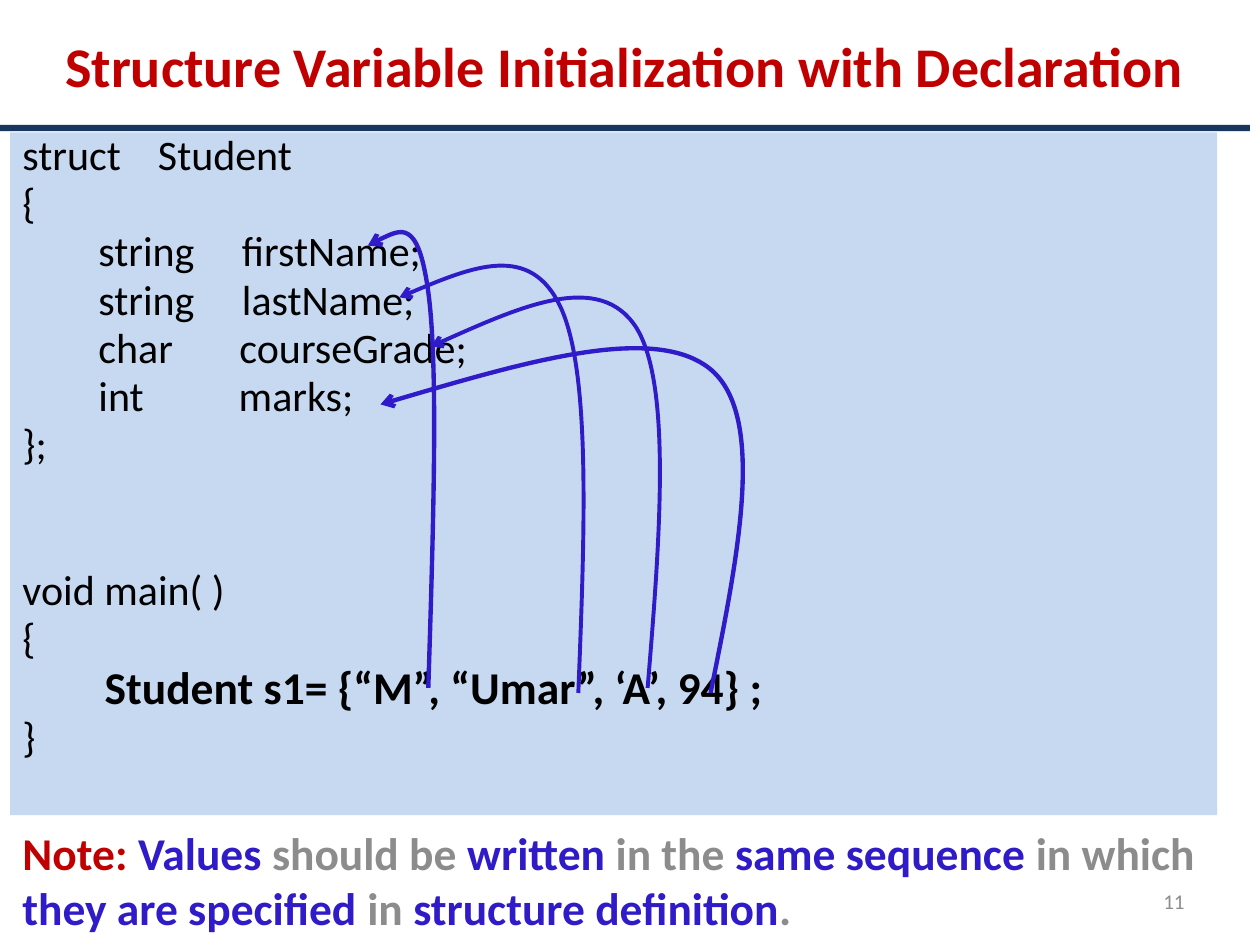
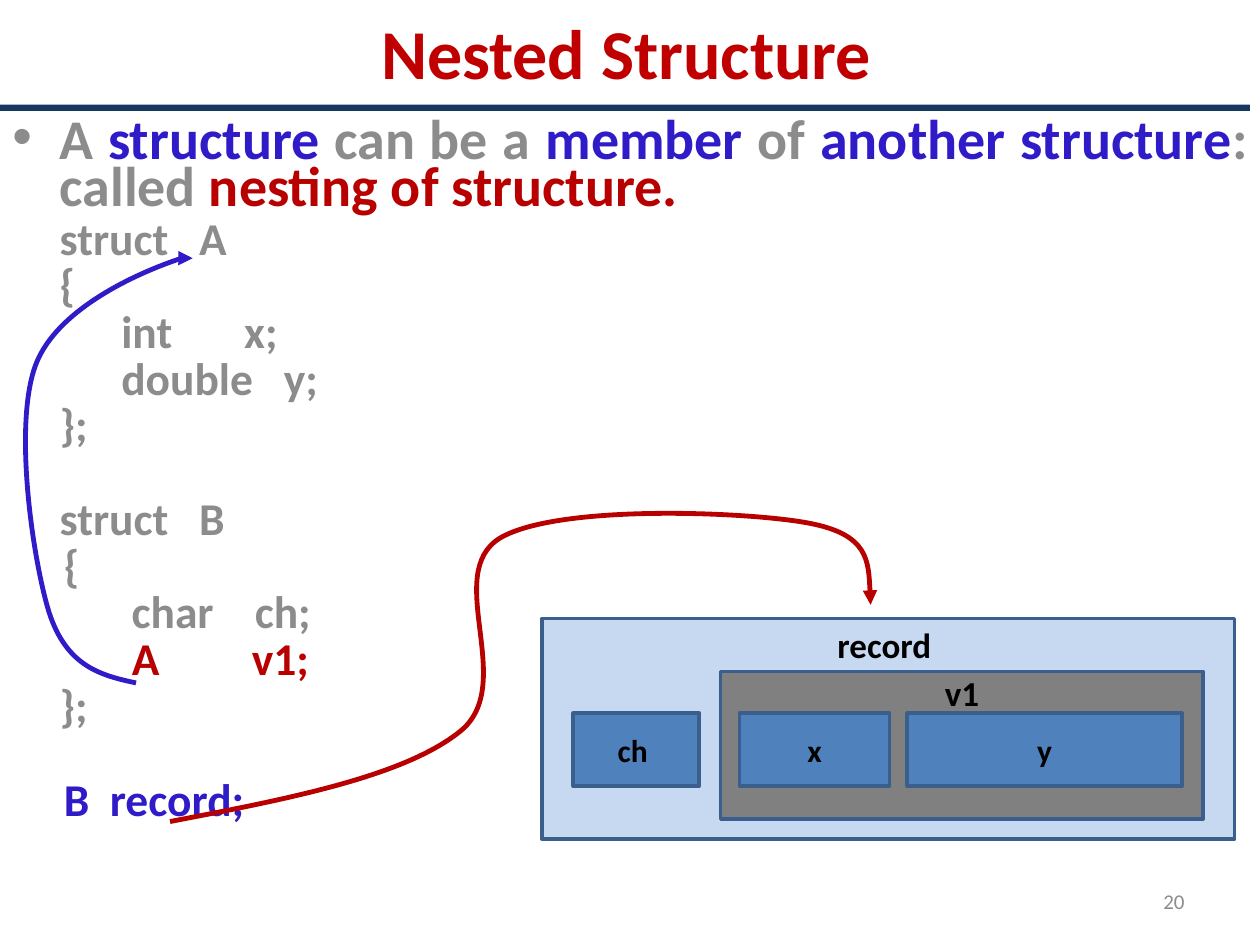
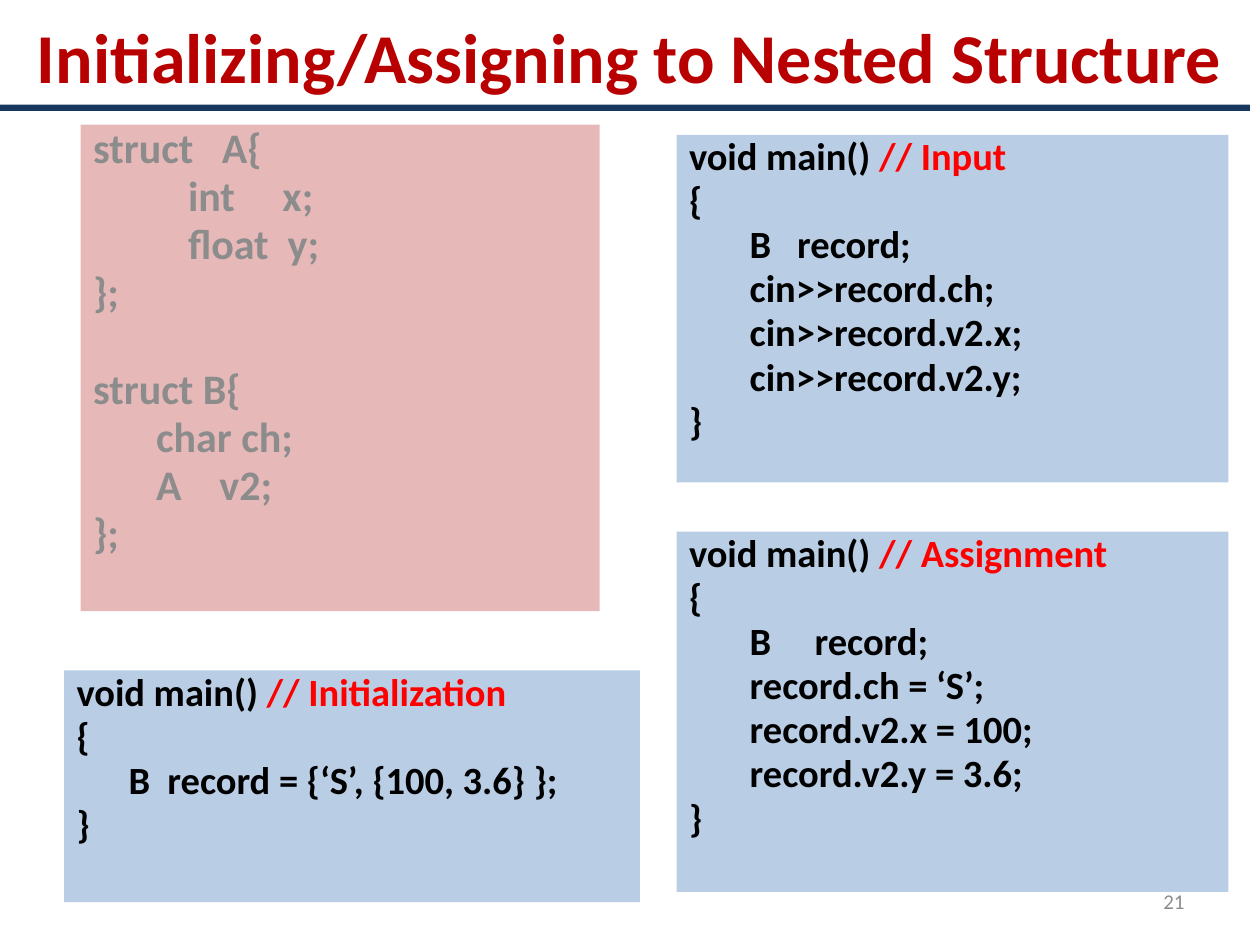
"""Build three slides on initializing and nesting structures."""
from lxml import etree
from pptx import Presentation
from pptx.dml.color import RGBColor
from pptx.enum.shapes import MSO_SHAPE
from pptx.enum.text import MSO_ANCHOR, PP_ALIGN
from pptx.oxml.ns import qn
from pptx.util import Inches, Pt

RECT = MSO_SHAPE.RECTANGLE
TOP, MIDDLE = MSO_ANCHOR.TOP, MSO_ANCHOR.MIDDLE
LEFT, CENTER = PP_ALIGN.LEFT, PP_ALIGN.CENTER
RIGHT, JUSTIFY = PP_ALIGN.RIGHT, PP_ALIGN.JUSTIFY

FONT = "Calibri"
BLACK, GRAY, NAVY = "000000", "8C8C8C", "17375E"
TITLE_RED, RED, COMMENT_RED = "C00000", "B80000", "FF0000"
INDIGO = "2F1BC7"
PALE_BLUE, CODE_BLUE, PINK = "C6D9F1", "B9CDE5", "E6B9B8"
MEMBER_BLUE, MEMBER_EDGE, NESTED_GRAY = "4F81BD", "3A5F8C", "808080"

LINE_HEIGHT = 1.22
SPACE_BEFORE = 0.186
HANGING = Inches(0.375)


def rgb(color):
    """Turn a hex string into a colour."""
    return RGBColor.from_string(color)


def add_box(slide, box, fill=None, edge=None):
    """Add a rectangle, or a plain text box when there is no fill."""
    lengths = [Inches(v) for v in box]
    if fill is None:
        return slide.shapes.add_textbox(*lengths)
    sp = slide.shapes.add_shape(RECT, *lengths)
    sp.shadow.inherit = False
    sp.fill.solid()
    sp.fill.fore_color.rgb = rgb(fill)
    if edge:
        sp.line.color.rgb = rgb(edge)
        sp.line.width = Pt(2)
    else:
        sp.line.fill.background()
    return sp


def write(sp, lines, size, color, bold=False, align=LEFT, anchor=TOP, spacing=1.0):
    """Write lines of (text, colour) runs; an empty line widens the next gap."""
    tf = sp.text_frame
    tf.word_wrap = True
    tf.vertical_anchor = anchor
    gap = SPACE_BEFORE * size
    pitch = LINE_HEIGHT * size * spacing + gap
    paragraphs, skipped = [], 0
    for line in lines:
        if not line:
            skipped += 1
            continue
        p = tf.add_paragraph() if paragraphs else tf.paragraphs[0]
        p.alignment = align
        p.line_spacing = spacing
        p.space_before = Pt(gap + skipped * pitch if paragraphs else 0)
        p.font.name, p.font.size, p.font.bold = FONT, Pt(size), bold
        p.font.color.rgb = rgb(color)
        for text, tint in [(line, None)] if isinstance(line, str) else line:
            r = p.add_run()
            r.text = text
            if tint:
                r.font.color.rgb = rgb(tint)
        paragraphs.append(p)
        skipped = 0
    return paragraphs


def add_frame(prs, title, box, size, rule_y, number, color=TITLE_RED):
    """Add a slide with its title, rule and slide number."""
    slide = prs.slides.add_slide(prs.slide_layouts[6])
    write(add_box(slide, box), [title], size, color, True, CENTER, MIDDLE)
    add_box(slide, (0, rule_y, 9.92, 0.05), NAVY)
    write(add_box(slide, (7.17, 6.95, 2.33, 0.4)), [str(number)], 12, GRAY,
          align=RIGHT, anchor=MIDDLE)
    return slide


def add_curve(slide, points, color, width, head):
    """Draw a chain of Bezier curves that ends in an arrowhead."""
    start, *rest = [(Inches(x), Inches(y)) for x, y in points]
    builder = slide.shapes.build_freeform(*start)
    builder.add_line_segments(rest, close=False)
    sp = builder.convert_to_shape()
    sp.shadow.inherit = False
    sp.fill.background()
    sp.line.color.rgb = rgb(color)
    sp.line.width = Pt(width)
    segments = list(sp.element.iter(qn("a:lnTo")))
    for i in range(0, len(segments), 3):
        curve = etree.Element(qn("a:cubicBezTo"))
        segments[i].addprevious(curve)
        for segment in segments[i:i + 3]:
            curve.append(segment[0])
            segment.getparent().remove(segment)
    ln = next(sp.element.iter(qn("a:ln")))
    etree.SubElement(ln, qn("a:tailEnd"), type=head)


def hang(p, bullet=False):
    """Give a paragraph a hanging indent, with or without a bullet."""
    pPr = p._p.get_or_add_pPr()
    pPr.set("marL", str(HANGING))
    pPr.set("indent", str(-HANGING))
    if bullet:
        font = etree.Element(qn("a:buFont"), typeface="Arial")
        char = etree.Element(qn("a:buChar"), char="•")
        pPr.find(qn("a:defRPr")).addprevious(font)
        font.addnext(char)


def add_code(slide, box, lines, size=22, fill=CODE_BLUE, color=BLACK, bold=True):
    """Add a filled panel of code."""
    return write(add_box(slide, box, fill), lines, size, color, bold, spacing=0.8)


def add_record(slide, x, y):
    """Draw the memory of a record that holds a nested structure."""
    blocks = [
        ("record ", (0, 0, 5.5, 1.75), PALE_BLUE, 20, 0.04),
        ("v1", (1.42, 0.42, 3.83, 1.17), NESTED_GRAY, 20, 0),
        ("ch ", (0.25, 0.75, 1, 0.58), MEMBER_BLUE, 18, None),
        ("x", (1.57, 0.75, 1.19, 0.58), MEMBER_BLUE, 18, None),
        ("y", (2.9, 0.75, 2.18, 0.58), MEMBER_BLUE, 18, None),
    ]
    for name, (dx, dy, w, h), fill, size, inset in blocks:
        sp = add_box(slide, (x + dx, y + dy, w, h), fill, MEMBER_EDGE)
        anchor = MIDDLE if inset is None else TOP
        write(sp, [name], size, BLACK, True, CENTER, anchor)
        if inset is not None:
            sp.text_frame.margin_top = Inches(inset)


def build_declaration(prs):
    """Build the slide on initialization with declaration."""
    slide = add_frame(prs, "Structure Variable Initialization with Declaration",
                      (0, 0.05, 9.92, 0.94), 32, 0.99, 11)
    note = [("Note: ", TITLE_RED), ("Values", INDIGO), (" should be ", None),
            ("written", INDIGO), (" in the ", None), ("same sequence ", INDIGO),
            ("in which ", None), ("they are specified ", INDIGO), ("in ", None),
            ("structure definition", INDIGO), (".", None)]
    write(add_box(slide, (0.08, 6.5, 9.75, 1)), [note], 26, GRAY, True)
    code = add_code(slide, (0.08, 1.05, 9.58, 5.42), [
        "struct \t Student",
        "{",
        "        string     firstName;",
        "        string     lastName;",
        "        char       courseGrade;",
        "        int          marks;",
        "};",
        "",
        "",
        "void main( )",
        "{",
        "        Student s1= {“M”, “Umar”, ‘A’, 94} ;",
        "}",
    ], 24, PALE_BLUE, bold=False)
    initializer = code[-2]
    initializer.font.size, initializer.font.bold = Pt(26), True
    arrows = [
        (2.5, [(3.4, 5.46), (3.44, 4.18), (3.48, 2.91), (3.4, 2.32),
               (3.32, 1.73), (3.12, 1.84), (2.92, 1.95)]),
        (2.25, [(4.59, 5.5), (4.64, 4.23), (4.69, 2.96), (4.45, 2.44),
                (4.21, 1.92), (3.69, 2.14), (3.17, 2.36)]),
        (2.25, [(5.14, 5.46), (5.24, 4.26), (5.33, 3.05), (5.05, 2.6),
                (4.76, 2.15), (4.09, 2.45), (3.42, 2.75)]),
        (2.5, [(5.64, 5.5), (5.86, 4.41), (6.08, 3.32), (5.65, 2.94),
               (5.21, 2.56), (4.11, 2.89), (3.02, 3.21)]),
    ]
    for width, points in arrows:
        add_curve(slide, points, INDIGO, width, "arrow")


def build_nested(prs):
    """Build the slide that defines a nested structure."""
    slide = add_frame(prs, "Nested Structure", (0, 0.06, 9.94, 0.7), 40, 0.83, 20)
    definition = [("A ", None), ("structure", INDIGO), (" can be a ", None),
                  ("member", INDIGO), (" of ", None), ("another structure", INDIGO),
                  (": called ", None), ("nesting of structure.", RED)]
    body = write(add_box(slide, (0, 0.92, 10, 6.58)), [
        definition,
        "\tstruct   A",
        "\t{",
        "\t      int       x;",
        "\t      double   y;",
        "\t};",
        "",
        "\tstruct   B",
        "     {",
        "\t       char    ch;",
        [("\t       ", None), ("A         v1;", RED)],
        "\t};",
        "",
        [("     B  record;", INDIGO)],
    ], 26, GRAY, True, JUSTIFY, spacing=0.7)
    body[0].font.size = Pt(32)
    for p in body:
        hang(p, bullet=p is body[0])
    add_record(slide, 4.3, 4.91)
    add_curve(slide, [(1.08, 5.42), (0.8, 5.36), (0.53, 5.29), (0.39, 4.86),
                      (0.26, 4.44), (0.1, 3.35), (0.29, 2.88),
                      (0.48, 2.41), (1.63, 1.93), (1.53, 2.05)],
              INDIGO, 2.75, "triangle")
    add_curve(slide, [(1.35, 6.52), (2.29, 6.34), (3.23, 6.16), (3.67, 5.79),
                      (4.1, 5.41), (3.51, 4.55), (3.97, 4.27),
                      (4.43, 4), (5.92, 4.06), (6.41, 4.15),
                      (6.9, 4.24), (6.9, 4.52), (6.91, 4.8)],
              RED, 2.75, "triangle")


def build_assigning(prs):
    """Build the slide on filling a nested structure."""
    slide = add_frame(prs, "Initializing/Assigning to Nested Structure",
                      (0.08, 0.05, 9.83, 0.78), 40, 0.83, 21, RED)
    add_code(slide, (0.64, 0.99, 4.12, 3.86), [
        "struct   A{",
        "          int     x;",
        "          float  y;",
        "};",
        "",
        "struct B{",
        "\tchar ch;",
        "\tA    v2;",
        "};",
    ], 24, PINK, GRAY)
    examples = [
        ("Input", (5.37, 1.07, 4.38, 2.76), [
            "       B   record;",
            "       cin>>record.ch;",
            "       cin>>record.v2.x;",
            "       cin>>record.v2.y;"]),
        ("Initialization", (0.51, 5.32, 4.57, 1.84), [
            "      B  record = {‘S’, {100, 3.6} };"]),
        ("Assignment", (5.37, 4.22, 4.38, 2.86), [
            "       B     record;",
            "       record.ch = ‘S’;",
            "       record.v2.x = 100;",
            "       record.v2.y = 3.6;"]),
    ]
    for topic, box, statements in examples:
        header = [("void main() ", None), (f"// {topic}", COMMENT_RED)]
        add_code(slide, box, [header, "{", *statements, "}"])


def main():
    """Build and save the presentation."""
    prs = Presentation()
    prs.slide_width, prs.slide_height = Inches(10), Inches(7.5)
    build_declaration(prs)
    build_nested(prs)
    build_assigning(prs)
    prs.save("out.pptx")


if __name__ == "__main__":
    main()
